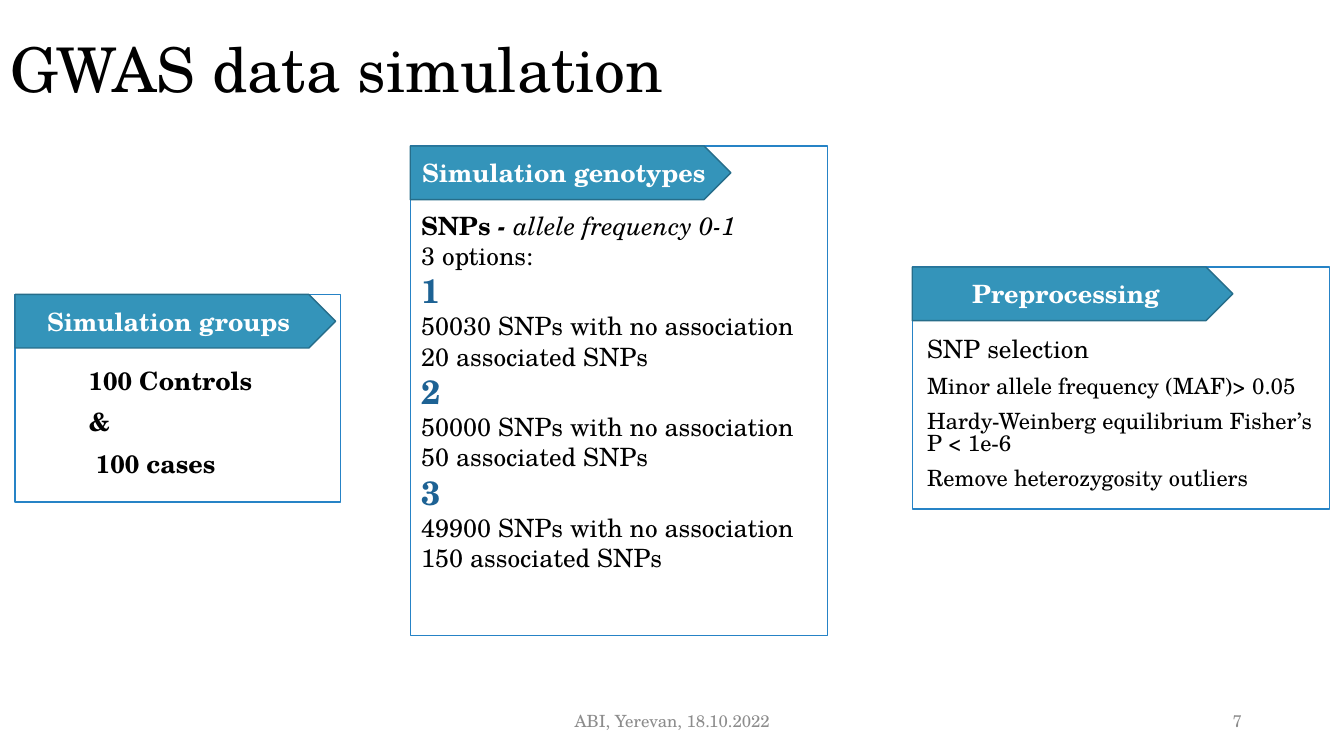
import dataclasses
import typing

import pptx
import pptx.dml.color
import pptx.enum.shapes
import pptx.enum.text
import pptx.oxml.ns
import pptx.util

Cm = pptx.util.Cm
Pt = pptx.util.Pt
Align = pptx.enum.text.PP_ALIGN
Anchor = pptx.enum.text.MSO_ANCHOR
Preset = pptx.enum.shapes.MSO_SHAPE


@dataclasses.dataclass(frozen=True)
class Theme:
    font: str = "TeX Gyre Schola"
    text: str = "000000"
    white: str = "FFFFFF"
    muted: str = "8C8C8C"
    frame: str = "2683C6"
    banner: str = "3494BA"
    banner_edge: str = "266D8A"
    number: str = "1D6294"
    title_size: int = 44
    number_size: int = 24
    text_size: int = 18
    detail_size: int = 16
    footer_size: int = 12


THEME = Theme()


@dataclasses.dataclass(frozen=True)
class Area:
    left: float
    top: float
    width: float
    height: float


@dataclasses.dataclass(frozen=True)
class Span:
    text: str
    size: int = THEME.text_size
    colour: str = THEME.text
    bold: bool = False
    italic: bool = False


Lines = list[list[Span]]


@dataclasses.dataclass(frozen=True)
class Panel:
    heading: str
    frame: Area
    body: Area
    placeholder: int
    lines: Lines
    line_spacing: float = 1.0
    space_before: int = 0


@dataclasses.dataclass(frozen=True)
class Footer:
    text: str
    area: Area
    alignment: Align


def option_lines(number: int, unrelated: int, associated: int) -> Lines:
    return [
        [Span(str(number), THEME.number_size, THEME.number, bold=True)],
        [Span(f"{unrelated} SNPs with no association")],
        [Span(f"{associated} associated SNPs")],
    ]


OPTIONS = [(50030, 20), (50000, 50), (49900, 150)]
GENOTYPE_LINES: Lines = [
    [
        Span("SNPs ", bold=True),
        Span("- ", bold=True, italic=True),
        Span("allele frequency 0-1", italic=True),
    ],
    [Span("3 options:")],
]
for number, counts in enumerate(OPTIONS, start=1):
    GENOTYPE_LINES += option_lines(number, *counts)

CRITERIA = [
    "Minor allele frequency (MAF)> 0.05",
    "Hardy-Weinberg equilibrium Fisher’s P < 1e-6",
    "Remove heterozygosity outliers",
]

PANELS = [
    Panel("Simulation groups", Area(0.38, 7.42, 8.2, 5.23), Area(1.98, 9.17, 9.07, 0.86), 1,
          [[Span(text, bold=True)] for text in ("100 Controls", "&", " 100 cases")], 0.9, 10),
    Panel("Simulation genotypes", Area(10.34, 3.68, 10.52, 12.34), Area(10.36, 5.16, 10.49, 11.02),
          2, GENOTYPE_LINES),
    Panel("Preprocessing", Area(22.99, 6.73, 10.52, 6.1), Area(23.11, 8.41, 10.26, 4.39), 3,
          [[Span("SNP selection")]] + [[Span(text, THEME.detail_size)] for text in CRITERIA],
          0.8, 10),
]

FOOTERS = [
    Footer("ABI, Yerevan, 18.10.2022", Area(11.23, 17.65, 11.43, 1.02), Align.CENTER),
    Footer("7", Area(23.93, 17.65, 7.62, 1.02), Align.RIGHT),
]


def colour(value: str) -> pptx.dml.color.RGBColor:
    return pptx.dml.color.RGBColor.from_string(value)


def apply(target: typing.Any, values: dict[str, typing.Any]) -> None:
    for name, value in values.items():
        setattr(target, name, value)


def place(box: typing.Any, area: Area) -> None:
    apply(box, {name: Cm(value) for name, value in dataclasses.asdict(area).items()})


def write(box: typing.Any, lines: Lines, anchor: Anchor = Anchor.TOP,
          alignment: Align = Align.LEFT, line_spacing: float = 1.0, space_before: int = 0) -> None:
    frame = box.text_frame
    apply(frame, {
        "word_wrap": True,
        "auto_size": pptx.enum.text.MSO_AUTO_SIZE.NONE,
        "vertical_anchor": anchor,
    })
    for index, spans in enumerate(lines):
        para = frame.add_paragraph() if index else frame.paragraphs[0]
        apply(para, {
            "alignment": alignment,
            "line_spacing": line_spacing,
            "space_before": Pt(space_before),
            "space_after": Pt(0),
        })
        for item in spans:
            span = para.add_run()
            span.text = item.text
            apply(span.font, {
                "name": THEME.font,
                "size": Pt(item.size),
                "bold": item.bold,
                "italic": item.italic,
            })
            span.font.color.rgb = colour(item.colour)


def remove_bullets(box: typing.Any) -> None:
    for para in box.text_frame.paragraphs:
        properties = para._p.get_or_add_pPr()
        properties.set("marL", "0")
        properties.set("indent", "0")
        properties.append(pptx.oxml.parse_xml(f"<a:buNone {pptx.oxml.ns.nsdecls('a')}/>"))


def add_outline(page: typing.Any, preset: Preset, area: Area, fill: str, edge: str) -> typing.Any:
    box = page.shapes.add_shape(preset, 0, 0, 0, 0)
    place(box, area)
    box.shadow.inherit = False
    box.fill.solid()
    box.fill.fore_color.rgb = colour(fill)
    box.line.color.rgb = colour(edge)
    box.line.width = Pt(1)
    return box


def add_panel(page: typing.Any, panel: Panel) -> None:
    add_outline(page, Preset.RECTANGLE, panel.frame, THEME.white, THEME.frame)
    banner_area = dataclasses.replace(panel.frame, width=8.08, height=1.35)
    banner = add_outline(page, Preset.PENTAGON, banner_area, THEME.banner, THEME.banner_edge)
    apply(banner.text_frame, {"margin_left": Cm(0.1), "margin_right": Cm(0.1)})
    write(banner, [[Span(panel.heading, colour=THEME.white, bold=True)]],
          Anchor.MIDDLE, Align.CENTER)
    body = page.placeholders[panel.placeholder]
    place(body, panel.body)
    write(body, panel.lines, line_spacing=panel.line_spacing, space_before=panel.space_before)
    remove_bullets(body)
    page.shapes.element.append(body.element)


def main() -> None:
    deck = pptx.Presentation()
    apply(deck, {"slide_width": Cm(33.87), "slide_height": Cm(19.05)})
    page = deck.slides.add_slide(deck.slide_layouts.get_by_name("Comparison"))
    unused = page.placeholders[4].element
    unused.getparent().remove(unused)
    title = page.shapes.title
    place(title, Area(0, 0, 29.21, 3.68))
    write(title, [[Span("GWAS data simulation", THEME.title_size)]], Anchor.MIDDLE,
          line_spacing=0.9)
    for footer in FOOTERS:
        box = page.shapes.add_textbox(0, 0, 0, 0)
        place(box, footer.area)
        write(box, [[Span(footer.text, THEME.footer_size, THEME.muted)]],
              Anchor.MIDDLE, footer.alignment)
    for panel in PANELS:
        add_panel(page, panel)
    deck.save("out.pptx")


if __name__ == "__main__":
    main()
